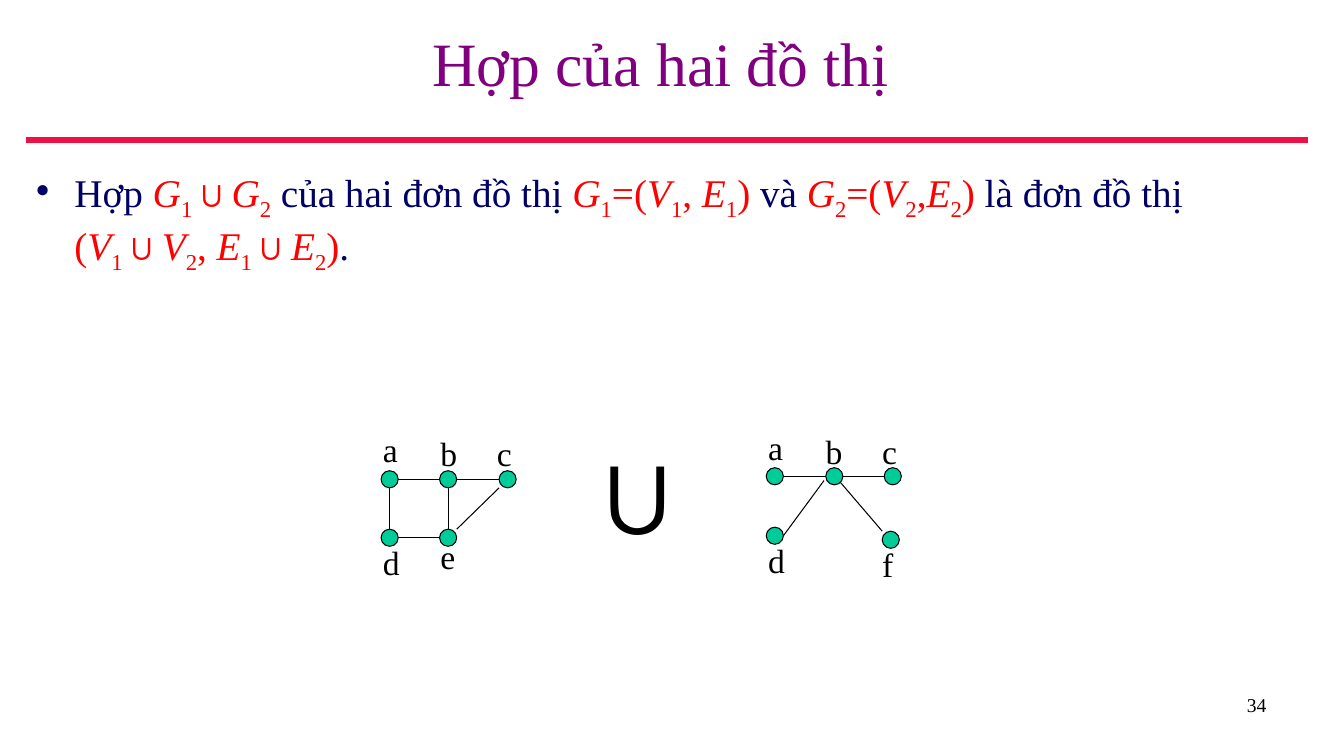
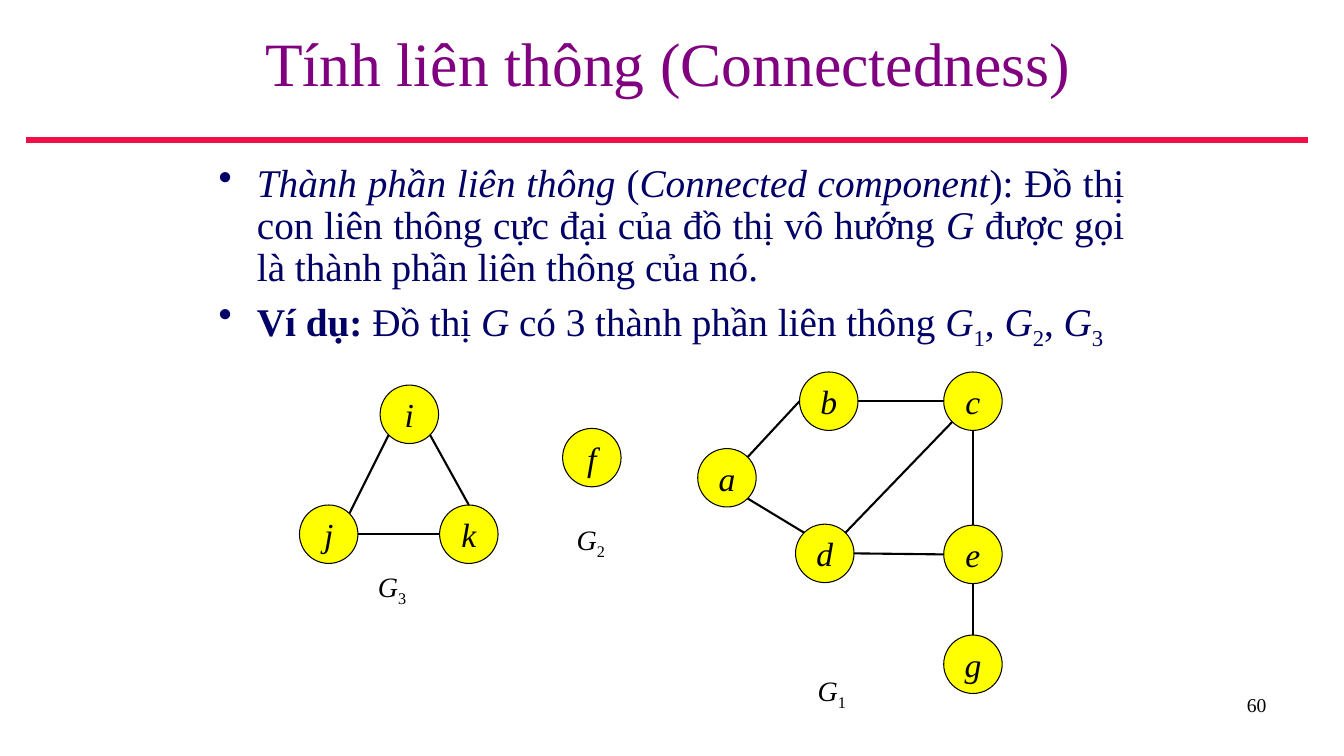
from dataclasses import dataclass

from lxml import etree
from pptx import Presentation
from pptx.dml.color import RGBColor
from pptx.enum.shapes import MSO_CONNECTOR, MSO_SHAPE
from pptx.enum.text import MSO_ANCHOR, PP_ALIGN
from pptx.oxml.ns import qn
from pptx.util import Inches, Pt

STRAIGHT = MSO_CONNECTOR.STRAIGHT
OVAL = MSO_SHAPE.OVAL
MIDDLE = MSO_ANCHOR.MIDDLE
LEFT, CENTER, RIGHT, JUSTIFY = PP_ALIGN.LEFT, PP_ALIGN.CENTER, PP_ALIGN.RIGHT, PP_ALIGN.JUSTIFY

N, E, S, W = (0, -1), (1, 0), (0, 1), (-1, 0)
NE, SE, SW, NW = (0.71, -0.71), (0.71, 0.71), (-0.71, 0.71), (-0.71, -0.71)
NE_CORNER, SW_CORNER, NW_CORNER = (1, -1), (-1, 1), (-1, -1)


@dataclass(frozen=True)
class Theme:
    """Colours, fonts and type sizes of the deck."""
    title: str = "800080"
    body: str = "000066"
    math: str = "FF0000"
    ink: str = "000000"
    rule: str = "F01045"
    dot: str = "00CC99"
    node: str = "FFFF00"
    font: str = "Times New Roman"
    symbol_font: str = "Arial"
    title_size: int = 44
    body_size: int = 28
    label_size: int = 24
    caption_size: int = 20
    number_size: int = 14
    symbol_size: int = 80


@dataclass(frozen=True)
class Span:
    """A stretch of text in one style."""
    text: str
    italic: bool = False
    bold: bool = False
    subscript: bool = False
    color: str = ""


def formula(source, color=""):
    """Set letters in italics and digits as subscripts."""
    return [Span(mark, italic=mark.isalpha(), subscript=mark.isdigit(), color=color) for mark in source]


class Deck:
    """Holds the style and the current slide."""

    def __init__(self, theme):
        """Start an empty wide presentation."""
        self.theme = theme
        self.presentation = Presentation()
        self.presentation.slide_width = Inches(13.33)
        self.presentation.slide_height = Inches(7.5)
        self.page = None

    def add_page(self, title, number):
        """Add a slide with its title, rule and number."""
        theme = self.theme
        self.page = self.presentation.slides.add_slide(self.presentation.slide_layouts[5])
        self.line((0.26, 1.39), (12.97, 1.39), theme.rule, 4.5)
        box = self.page.shapes.title
        box.left, box.top, box.width, box.height = Inches(0.26), Inches(0), Inches(12.74), Inches(1.23)
        box.text_frame.vertical_anchor = MIDDLE
        para = box.text_frame.paragraphs[0]
        self.add_spans(para, [Span(title)], theme.title_size, theme.title, CENTER)
        self.text(9.55, 6.82, 3.11, 0.52, [Span(number)], theme.number_size, RIGHT)

    def add_spans(self, para, spans, size, color, align=LEFT, font=""):
        """Fill a paragraph run by run."""
        para.alignment = align
        for span in spans:
            run = para.add_run()
            run.text = span.text
            run.font.name = font or self.theme.font
            run.font.size = Pt(size)
            run.font.italic, run.font.bold = span.italic, span.bold
            run.font.color.rgb = RGBColor.from_string(span.color or color)
            if span.subscript:
                run.font._element.set("baseline", "-25000")

    def frame(self, left, top, width, height):
        """Add an empty wrapping text box."""
        box = self.page.shapes.add_textbox(Inches(left), Inches(top), Inches(width), Inches(height))
        box.text_frame.word_wrap = True
        return box.text_frame

    def text(self, left, top, width, height, spans, size, align=LEFT, font=""):
        """Add one line of black text."""
        para = self.frame(left, top, width, height).paragraphs[0]
        self.add_spans(para, spans, size, self.theme.ink, align, font)

    def bullets(self, left, top, width, height, items, align=LEFT, spacing=1.0):
        """Add a bulleted list."""
        frame = self.frame(left, top, width, height)
        for index, spans in enumerate(items):
            para = frame.add_paragraph() if index else frame.paragraphs[0]
            properties = para._p.get_or_add_pPr()
            properties.set("marL", str(Inches(0.38)))
            properties.set("indent", str(Inches(-0.38)))
            etree.SubElement(properties, qn("a:buChar")).set("char", "•")
            para.line_spacing = spacing
            if index:
                para.space_before = Pt(0.2 * self.theme.body_size)
            self.add_spans(para, spans, self.theme.body_size, self.theme.body, align)

    def line(self, start, end, color, weight):
        """Draw a straight line."""
        points = [Inches(value) for value in (*start, *end)]
        line = self.page.shapes.add_connector(STRAIGHT, *points)
        line.line.color.rgb = RGBColor.from_string(color)
        line.line.width = Pt(weight)
        etree.SubElement(line._element.spPr, qn("a:effectLst"))

    def circle(self, left, top, size, fill, letter=""):
        """Draw a vertex, with a letter inside if given."""
        shape = self.page.shapes.add_shape(OVAL, Inches(left), Inches(top), Inches(size), Inches(size))
        shape.shadow.inherit = False
        shape.fill.solid()
        shape.fill.fore_color.rgb = RGBColor.from_string(fill)
        shape.line.color.rgb = RGBColor.from_string(self.theme.ink)
        shape.line.width = Pt(0.75)
        if letter:
            frame = shape.text_frame
            frame.word_wrap = False
            frame.vertical_anchor = MIDDLE
            span = Span(letter, italic=True)
            self.add_spans(frame.paragraphs[0], [span], self.theme.label_size, self.theme.ink, CENTER)

    def graph(self, nodes, edges, size, fill, weight, labels=None):
        """Draw vertices and edges, with letters inside or at the label places."""
        for name, (left, top) in nodes.items():
            self.circle(left, top, size, fill, "" if labels else name)
        for start, start_side, end, end_side in edges:
            ends = [
                [place + size / 2 * (1 + shift) for place, shift in zip(nodes[name], side)]
                for name, side in ((start, start_side), (end, end_side))
            ]
            self.line(*ends, self.theme.ink, weight)
        for name, (left, top) in (labels or {}).items():
            self.text(left, top, 0.4, 0.5, [Span(name)], self.theme.label_size)


def union_page(deck):
    """Build the slide on the union of two graphs."""
    theme = deck.theme
    deck.add_page("Hợp của hai đồ thị ", "34")
    deck.bullets(0.26, 1.62, 12.74, 5.54, [[
        Span("Hợp "), *formula("G1∪G2", theme.math),
        Span(" của hai đơn đồ thị "), *formula("G1=(V1, E1)", theme.math),
        Span(" và "), *formula("G2=(V2,E2)", theme.math),
        Span(" là đơn đồ thị "), *formula("(V1∪V2, E1∪E2)", theme.math), Span("."),
    ]])
    deck.graph(
        {"a": (3.78, 4.67), "b": (4.36, 4.67), "c": (4.95, 4.67), "d": (3.78, 5.25), "e": (4.36, 5.25)},
        [("a", E, "b", W), ("a", S, "d", N), ("d", E, "e", W), ("b", S, "e", N),
         ("b", E, "c", W), ("e", NE_CORNER, "c", SW_CORNER)],
        0.17, theme.dot, 0.75,
        {"a": (3.7, 4.21), "b": (4.27, 4.25), "c": (4.83, 4.25), "d": (3.7, 5.33), "e": (4.27, 5.27)},
    )
    deck.graph(
        {"a": (7.6, 4.64), "b": (8.19, 4.64), "c": (8.77, 4.64), "d": (7.6, 5.23), "f": (8.75, 5.27)},
        [("a", E, "b", W), ("d", E, "b", (-1.2, 0.5)), ("b", E, "c", W), ("b", SE, "f", NW_CORNER)],
        0.17, theme.dot, 0.75,
        {"a": (7.52, 4.19), "b": (8.09, 4.23), "c": (8.65, 4.23), "d": (7.52, 5.31), "f": (8.65, 5.35)},
    )
    union = Span("∪", bold=True)
    deck.text(5.83, 4.15, 1.06, 1.43, [union], theme.symbol_size, font=theme.symbol_font)


def connectedness_page(deck):
    """Build the slide on connected components."""
    theme = deck.theme
    deck.add_page("Tính liên thông (Connectedness)", "60")
    deck.bullets(2.07, 1.57, 9.18, 5.33, [
        [Span("Thành phần liên thông ", italic=True), Span("("),
         Span("Connected component", italic=True),
         Span("): Đồ thị con liên thông cực đại của đồ thị vô hướng "), *formula("G"),
         Span(" được gọi là thành phần liên thông của nó.")],
        [Span("Ví dụ: ", bold=True), Span("Đồ thị "), *formula("G"),
         Span(" có 3 thành phần liên thông "), *formula("G1, G2, G3")],
    ], JUSTIFY, 0.9)
    deck.graph(
        {"a": (6.92, 4.45), "b": (7.93, 3.69), "c": (9.36, 3.69), "d": (7.89, 5.2),
         "e": (9.36, 5.21), "g": (9.36, 6.3), "f": (5.58, 4.25),
         "i": (3.77, 3.82), "j": (2.97, 5.01), "k": (4.36, 5.01)},
        [("c", S, "e", N), ("d", E, "e", W), ("a", SE, "d", NW), ("c", SW, "d", NE),
         ("b", E, "c", W), ("a", NE, "b", W), ("g", N, "e", S),
         ("j", NE, "i", SW), ("k", N, "i", SE), ("j", E, "k", W)],
        0.58, theme.node, 1.5,
    )
    for name, left, top in (("G1", 8.01, 6.63), ("G2", 5.62, 5.13), ("G3", 3.65, 5.6)):
        deck.text(left, top, 0.71, 0.43, formula(name), theme.caption_size)


def main():
    """Build and save the deck."""
    deck = Deck(Theme())
    union_page(deck)
    connectedness_page(deck)
    deck.presentation.save("out.pptx")


if __name__ == "__main__":
    main()
